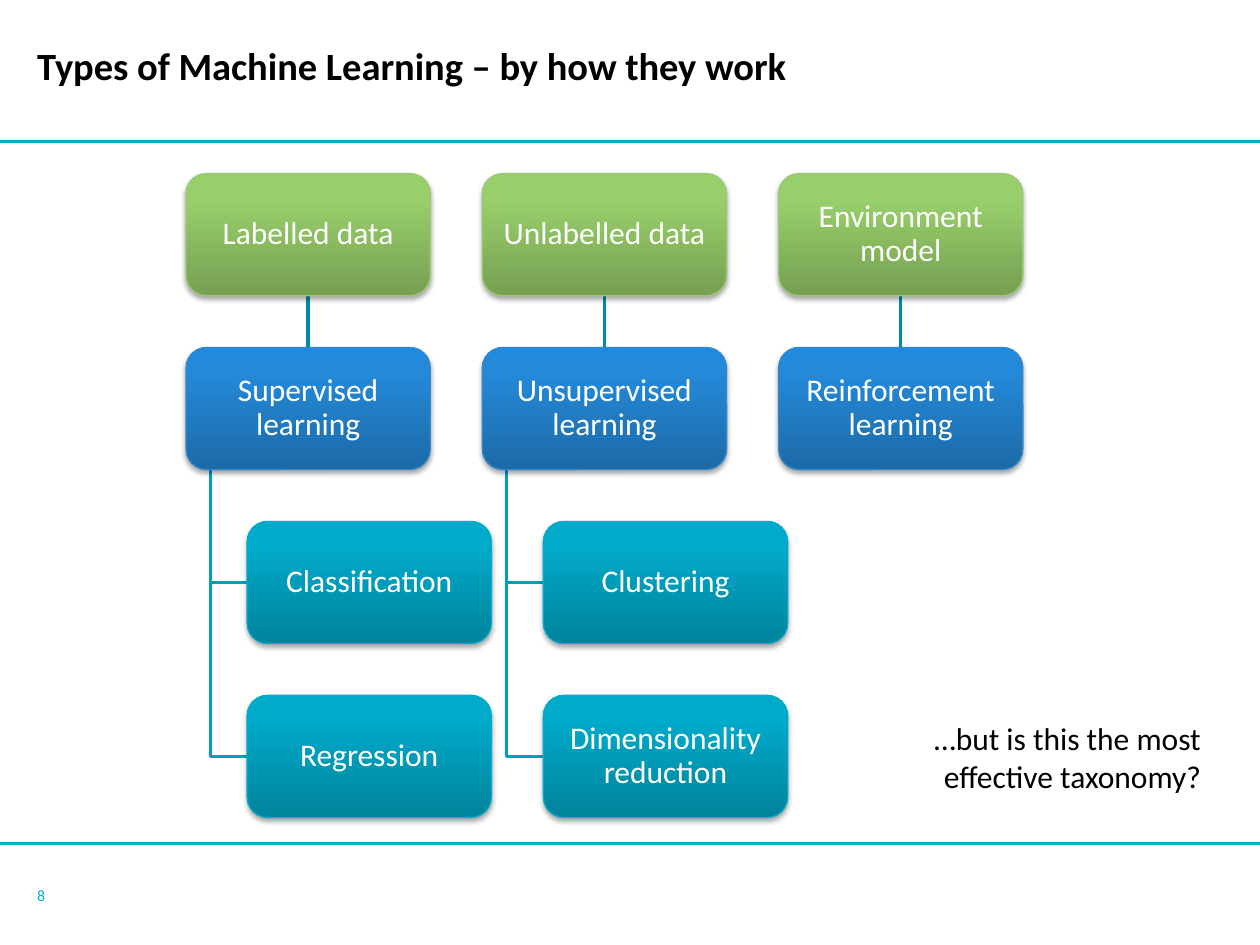
import copy

import lxml.etree
import pptx
import pptx.dml.color
import pptx.enum.shapes
import pptx.enum.text
import pptx.oxml.ns
import pptx.util

Pt = pptx.util.Pt
RGBColor = pptx.dml.color.RGBColor
Align = pptx.enum.text.PP_ALIGN
Anchor = pptx.enum.text.MSO_ANCHOR
qn = pptx.oxml.ns.qn

FONT = "Calibri"
BLACK = RGBColor(0x00, 0x00, 0x00)
WHITE = RGBColor(0xFF, 0xFF, 0xFF)
ACCENT = RGBColor(0x00, 0xAF, 0xD0)
LINK = RGBColor(0x00, 0x8C, 0xA7)
BRANCH = RGBColor(0x00, 0x9F, 0xBD)

GREEN = (RGBColor(0x76, 0xA0, 0x52), RGBColor(0x99, 0xCF, 0x6B), RGBColor(0x9A, 0xD2, 0x69))
GREEN_EDGE = RGBColor(0x9B, 0xC8, 0x75)
BLUE = (RGBColor(0x1C, 0x6A, 0xA7), RGBColor(0x24, 0x89, 0xD9), RGBColor(0x21, 0x8A, 0xDD))
BLUE_EDGE = RGBColor(0x36, 0x88, 0xC9)
TEAL = (RGBColor(0x00, 0x83, 0x9B), RGBColor(0x00, 0xAA, 0xCA), RGBColor(0x00, 0xAA, 0xCA))
TEAL_EDGE = RGBColor(0x00, 0xAB, 0xCB)
GRADIENT_POSITIONS = (0, 0.8, 1)

SLIDE_WIDTH, SLIDE_HEIGHT = 720, 540
BOX_WIDTH, BOX_HEIGHT = 139.6, 69.8
GRID_LEFT, GRID_TOP = 106.3, 99.2
COLUMN_PITCH, ROW_PITCH = 169.3, 99.4
CHILD_INDENT = BOX_WIDTH / 4
TRUNK_INDENT = BOX_WIDTH / 10

COLUMNS = [
    ("Labelled data", "Supervised learning", ["Classification", "Regression"]),
    ("Unlabelled data", "Unsupervised learning", ["Clustering", "Dimensionality reduction"]),
    ("Environment model", "Reinforcement learning", []),
]


def row_top(row):
    return GRID_TOP + row * ROW_PITCH


def add_line(slide, start, end, color, width):
    line = slide.shapes.add_connector(
        pptx.enum.shapes.MSO_CONNECTOR.STRAIGHT, *map(Pt, start + end))
    line.line.color.rgb = color
    line.line.width = Pt(width)
    lxml.etree.SubElement(line._element.spPr, qn("a:effectLst"))


def add_branch(slide, left, row):
    trunk = left + TRUNK_INDENT
    middle = row_top(row) + BOX_HEIGHT / 2
    builder = slide.shapes.build_freeform(Pt(trunk), Pt(row_top(1) + BOX_HEIGHT))
    builder.add_line_segments(
        [(Pt(trunk), Pt(middle)), (Pt(left + CHILD_INDENT), Pt(middle))], close=False)
    branch = builder.convert_to_shape()
    branch.fill.background()
    branch.line.color.rgb = BRANCH
    branch.line.width = Pt(2)
    branch.shadow.inherit = False


def set_gradient(shape, colors):
    shape.fill.gradient()
    shape.fill.gradient_angle = 90
    stop_list = shape._element.spPr.find(".//" + qn("a:gsLst"))
    stop_list.append(copy.deepcopy(stop_list[-1]))
    for stop, color, position in zip(shape.fill.gradient_stops, colors, GRADIENT_POSITIONS):
        stop.color.rgb = color
        stop.position = position


def set_shadow(shape):
    shape.shadow.inherit = False
    effects = shape._element.spPr.find(qn("a:effectLst"))
    shadow = lxml.etree.SubElement(
        effects, qn("a:outerShdw"), blurRad=str(Pt(3.1)), dist=str(Pt(1.8)),
        dir="5400000", rotWithShape="0")
    color = lxml.etree.SubElement(shadow, qn("a:srgbClr"), val=str(BLACK))
    lxml.etree.SubElement(color, qn("a:alpha"), val="35000")


def set_margins(frame, margin):
    frame.margin_left = frame.margin_right = Pt(margin)
    frame.margin_top = frame.margin_bottom = Pt(margin)


def style_paragraph(paragraph, size, color, alignment):
    paragraph.alignment = alignment
    paragraph.font.name = FONT
    paragraph.font.size = Pt(size)
    paragraph.font.color.rgb = color


def add_box(slide, text, left, row, colors, edge):
    shape = slide.shapes.add_shape(
        pptx.enum.shapes.MSO_SHAPE.ROUNDED_RECTANGLE,
        Pt(left), Pt(row_top(row)), Pt(BOX_WIDTH), Pt(BOX_HEIGHT))
    set_gradient(shape, colors)
    shape.line.color.rgb = edge
    shape.line.width = Pt(0.75)
    set_shadow(shape)
    frame = shape.text_frame
    frame.text = text
    frame.word_wrap = True
    frame.vertical_anchor = Anchor.MIDDLE
    set_margins(frame, 7.2)
    style_paragraph(frame.paragraphs[0], 18, WHITE, Align.CENTER)
    frame.paragraphs[0].line_spacing = 0.9


def add_text(slide, text, bounds, size, color, alignment=Align.LEFT):
    frame = slide.shapes.add_textbox(*map(Pt, bounds)).text_frame
    frame.text = text
    for paragraph in frame.paragraphs:
        style_paragraph(paragraph, size, color, alignment)
    return frame


def add_label(slide, text, bounds, size, color):
    frame = add_text(slide, text, bounds, size, color)
    frame.word_wrap = True
    frame.vertical_anchor = Anchor.MIDDLE
    set_margins(frame, 0)
    return frame.paragraphs[0]


def add_column(slide, left, data, method, tasks):
    center = left + BOX_WIDTH / 2
    add_line(slide, (center, row_top(0) + BOX_HEIGHT), (center, row_top(1)), LINK, 2)
    for row in range(2, 2 + len(tasks)):
        add_branch(slide, left, row)
    add_box(slide, data, left, 0, GREEN, GREEN_EDGE)
    add_box(slide, method, left, 1, BLUE, BLUE_EDGE)
    for row, task in enumerate(tasks, start=2):
        add_box(slide, task, left + CHILD_INDENT, row, TEAL, TEAL_EDGE)


def main():
    presentation = pptx.Presentation()
    presentation.slide_width = Pt(SLIDE_WIDTH)
    presentation.slide_height = Pt(SLIDE_HEIGHT)
    slide = presentation.slides.add_slide(presentation.slide_layouts[6])

    for height in (80.8, 482.2):
        add_line(slide, (0, height), (SLIDE_WIDTH, height), ACCENT, 1.5)
    add_label(slide, "8", (21.3, 497.5, 21.6, 28), 9, ACCENT)
    title = add_label(slide, "Types of Machine Learning – by how they work",
                      (21.3, 0, 684, 79.2), 22, BLACK)
    title.font.bold = True
    title.line_spacing = Pt(22)

    for index, column in enumerate(COLUMNS):
        add_column(slide, GRID_LEFT + index * COLUMN_PITCH, *column)

    caption = add_text(slide, "…but is this the most\neffective taxonomy?",
                       (525, 407.5, 168.5, 51), 18, BLACK, Align.RIGHT)
    caption.word_wrap = False
    caption.auto_size = pptx.enum.text.MSO_AUTO_SIZE.SHAPE_TO_FIT_TEXT
    presentation.save("out.pptx")


if __name__ == "__main__":
    main()
